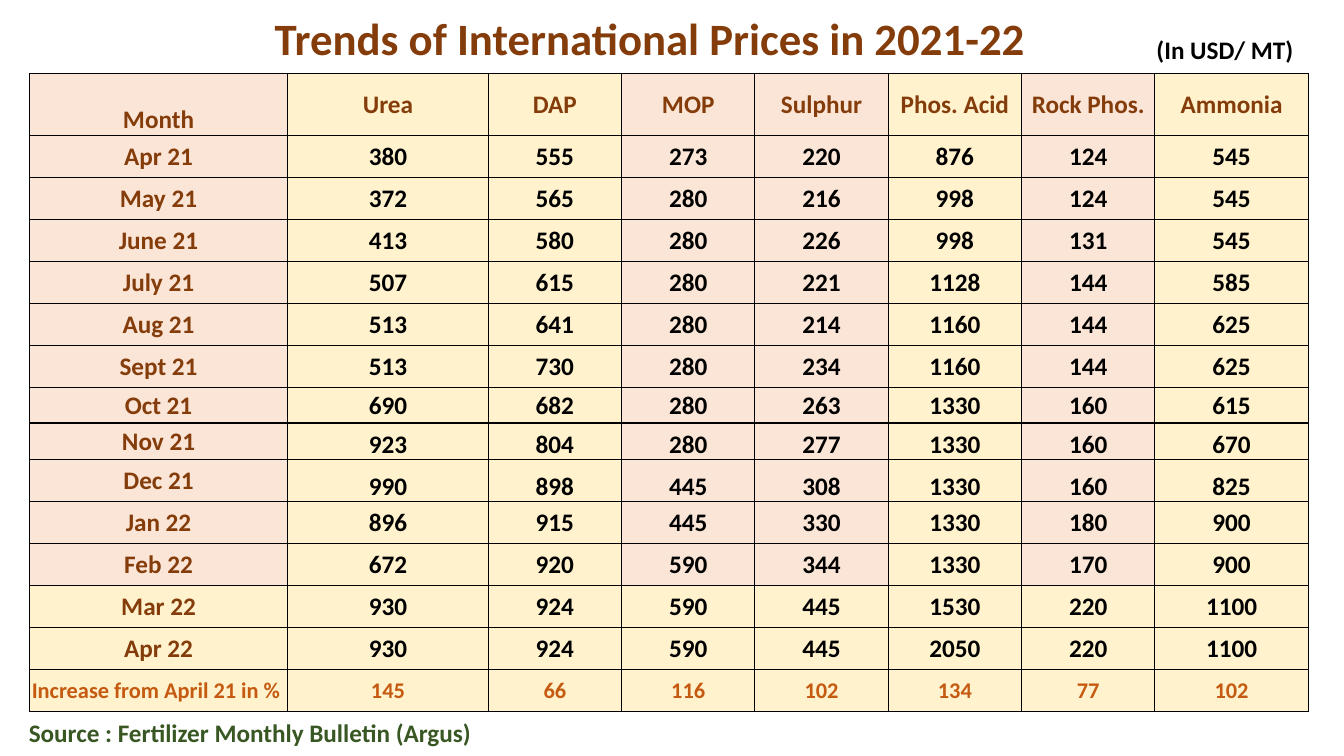
"""Builds the slide with the 2021-22 table of international fertilizer prices."""
from dataclasses import dataclass

import lxml.etree
import pptx
import pptx.dml.color
import pptx.enum.text
import pptx.oxml.ns
import pptx.util

PX = 9525
FONT = "Calibri"
COLORS = {"brown": "843C0B", "orange": "C55A11", "green": "385723", "black": "000000",
          "cream": "FFF2CC", "peach": "FBE5D6"}
ALIGN = pptx.enum.text.PP_ALIGN
ANCHOR = pptx.enum.text.MSO_ANCHOR


@dataclass(frozen=True)
class Label:
    text: str
    left: int
    top: int
    width: int
    height: int
    size: int
    color: str
    align: ALIGN = ALIGN.LEFT
    anchor: ANCHOR = ANCHOR.TOP
    line_spacing: float = 1.0


@dataclass(frozen=True)
class Column:
    name: str
    width: int
    fill: str


@dataclass(frozen=True)
class PriceRow:
    label: str
    values: tuple[int, ...]
    height: int = 40
    anchor: ANCHOR = ANCHOR.MIDDLE
    all_cream: bool = False
    size: int = 18
    label_color: str = "brown"
    value_color: str = "black"


LABELS = [
    Label("Trends of International Prices in 2021-22 ", 176, 3, 896, 73, 32, "brown",
          ALIGN.CENTER, ANCHOR.MIDDLE, 0.9),
    Label("Source : Fertilizer Monthly Bulletin (Argus)", 18, 678, 628, 38, 18, "green"),
    Label("(In USD/ MT)", 1092, 28, 153, 38, 18, "black"),
]
TABLE_LEFT, TABLE_TOP, HEADER_HEIGHT = 28, 70, 59
COLUMNS = [
    Column("Month", 246, "peach"),
    Column("Urea", 191, "cream"),
    Column("DAP", 127, "cream"),
    Column("MOP", 127, "peach"),
    Column("Sulphur", 127, "peach"),
    Column("Phos. Acid", 127, "cream"),
    Column("Rock Phos.", 127, "peach"),
    Column("Ammonia", 146, "cream"),
]
ROWS = [
    PriceRow("Apr 21", (380, 555, 273, 220, 876, 124, 545)),
    PriceRow("May 21", (372, 565, 280, 216, 998, 124, 545)),
    PriceRow("June 21", (413, 580, 280, 226, 998, 131, 545)),
    PriceRow("July 21", (507, 615, 280, 221, 1128, 144, 585)),
    PriceRow("Aug 21", (513, 641, 280, 214, 1160, 144, 625)),
    PriceRow("Sept 21", (513, 730, 280, 234, 1160, 144, 625)),
    PriceRow("Oct 21", (690, 682, 280, 263, 1330, 160, 615), height=34),
    PriceRow("Nov 21", (923, 804, 280, 277, 1330, 160, 670), height=35, anchor=ANCHOR.BOTTOM),
    PriceRow("Dec 21", (990, 898, 445, 308, 1330, 160, 825), anchor=ANCHOR.BOTTOM),
    PriceRow("Jan 22", (896, 915, 445, 330, 1330, 180, 900)),
    PriceRow("Feb 22", (672, 920, 590, 344, 1330, 170, 900)),
    PriceRow("Mar 22", (930, 924, 590, 445, 1530, 220, 1100), all_cream=True),
    PriceRow("Apr 22", (930, 924, 590, 445, 2050, 220, 1100), all_cream=True),
    PriceRow("Increase from April 21 in % ", (145, 66, 116, 102, 134, 77, 102), all_cream=True,
             size=16, label_color="orange", value_color="orange"),
]


def rgb(color: str) -> pptx.dml.color.RGBColor:
    """Look up a named colour."""
    return pptx.dml.color.RGBColor.from_string(COLORS[color])


def write(frame, text: str, size: int, color: str, align: ALIGN) -> None:
    """Write one bold run into the first paragraph of a text frame."""
    para = frame.paragraphs[0]
    para.alignment = align
    span = para.add_run()
    span.text = text
    span.font.name = FONT
    span.font.size = pptx.util.Pt(size)
    span.font.bold = True
    span.font.color.rgb = rgb(color)


def draw_label(page, label: Label) -> None:
    """Draw a text box."""
    box = page.shapes.add_textbox(label.left * PX, label.top * PX,
                                  label.width * PX, label.height * PX)
    frame = box.text_frame
    frame.word_wrap = True
    frame.vertical_anchor = label.anchor
    write(frame, label.text, label.size, label.color, label.align)
    frame.paragraphs[0].line_spacing = label.line_spacing


def add_borders(cell) -> None:
    """Put a one-point black line on every side of a cell."""
    properties = cell._tc.get_or_add_tcPr()
    for position, side in enumerate(("lnL", "lnR", "lnT", "lnB")):
        line = lxml.etree.Element(pptx.oxml.ns.qn(f"a:{side}"), w=str(pptx.util.Pt(1)))
        fill = lxml.etree.SubElement(line, pptx.oxml.ns.qn("a:solidFill"))
        lxml.etree.SubElement(fill, pptx.oxml.ns.qn("a:srgbClr"), val=COLORS["black"])
        properties.insert(position, line)


def fill_cell(cell, text: str, size: int, color: str, fill: str, anchor: ANCHOR) -> None:
    """Fill, frame and label a table cell."""
    cell.margin_left = cell.margin_right = cell.margin_top = PX
    cell.margin_bottom = 0
    cell.vertical_anchor = anchor
    cell.fill.solid()
    cell.fill.fore_color.rgb = rgb(fill)
    add_borders(cell)
    write(cell.text_frame, text, size, color, ALIGN.CENTER)


def draw_price_table(page) -> None:
    """Draw the price table, header first."""
    heights = [HEADER_HEIGHT] + [row.height for row in ROWS]
    width = sum(column.width for column in COLUMNS)
    table = page.shapes.add_table(len(heights), len(COLUMNS), TABLE_LEFT * PX, TABLE_TOP * PX,
                                  width * PX, sum(heights) * PX).table
    table.horz_banding = False
    for index, height in enumerate(heights):
        table.rows[index].height = height * PX
    for x, column in enumerate(COLUMNS):
        table.columns[x].width = column.width * PX
        header_anchor = ANCHOR.MIDDLE if x else ANCHOR.BOTTOM
        fill_cell(table.cell(0, x), column.name, 18, "brown", column.fill, header_anchor)
        for y, row in enumerate(ROWS, start=1):
            fill_cell(table.cell(y, x),
                      str(row.values[x - 1]) if x else row.label,
                      row.size,
                      row.value_color if x else row.label_color,
                      "cream" if row.all_cream else column.fill,
                      row.anchor if x else ANCHOR.MIDDLE)


def main() -> None:
    """Build and save the deck."""
    deck = pptx.Presentation()
    deck.slide_width, deck.slide_height = 1280 * PX, 720 * PX
    page = deck.slides.add_slide(deck.slide_layouts[6])
    draw_price_table(page)
    for label in LABELS:
        draw_label(page, label)
    deck.save("out.pptx")


if __name__ == "__main__":
    main()
